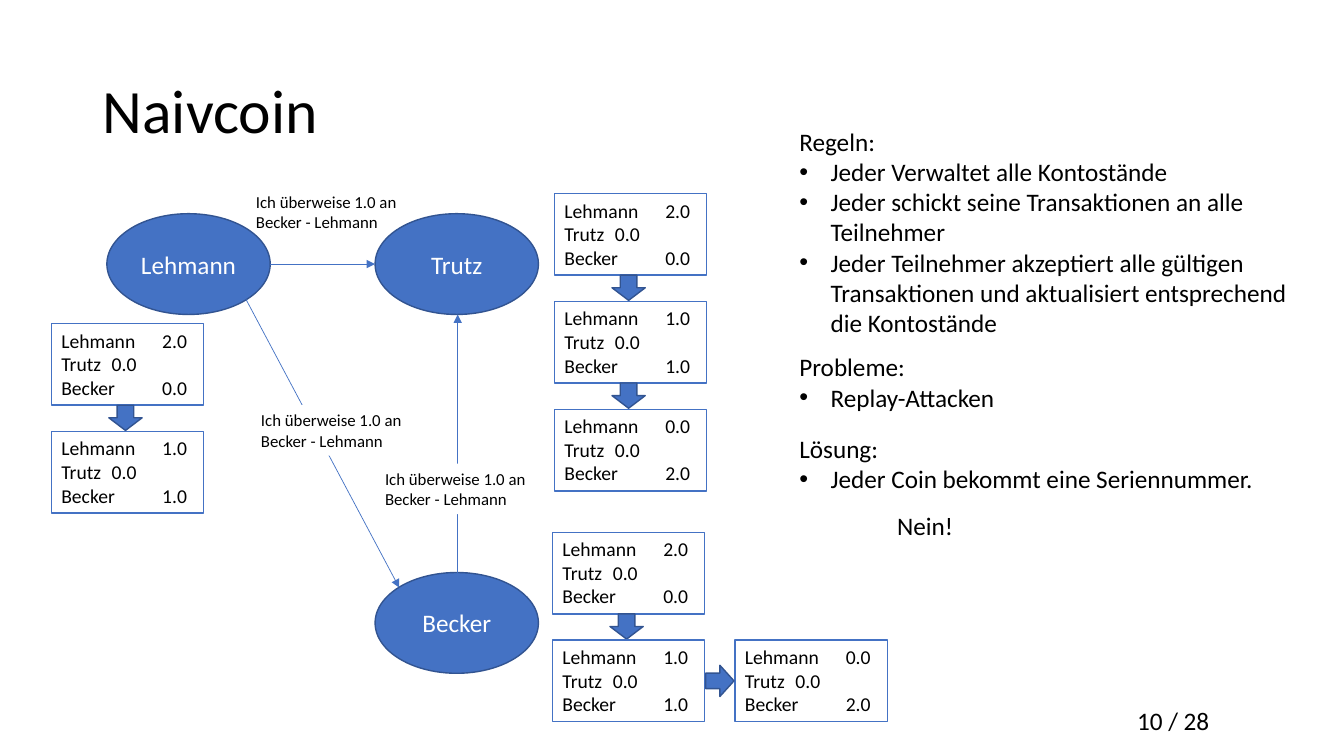
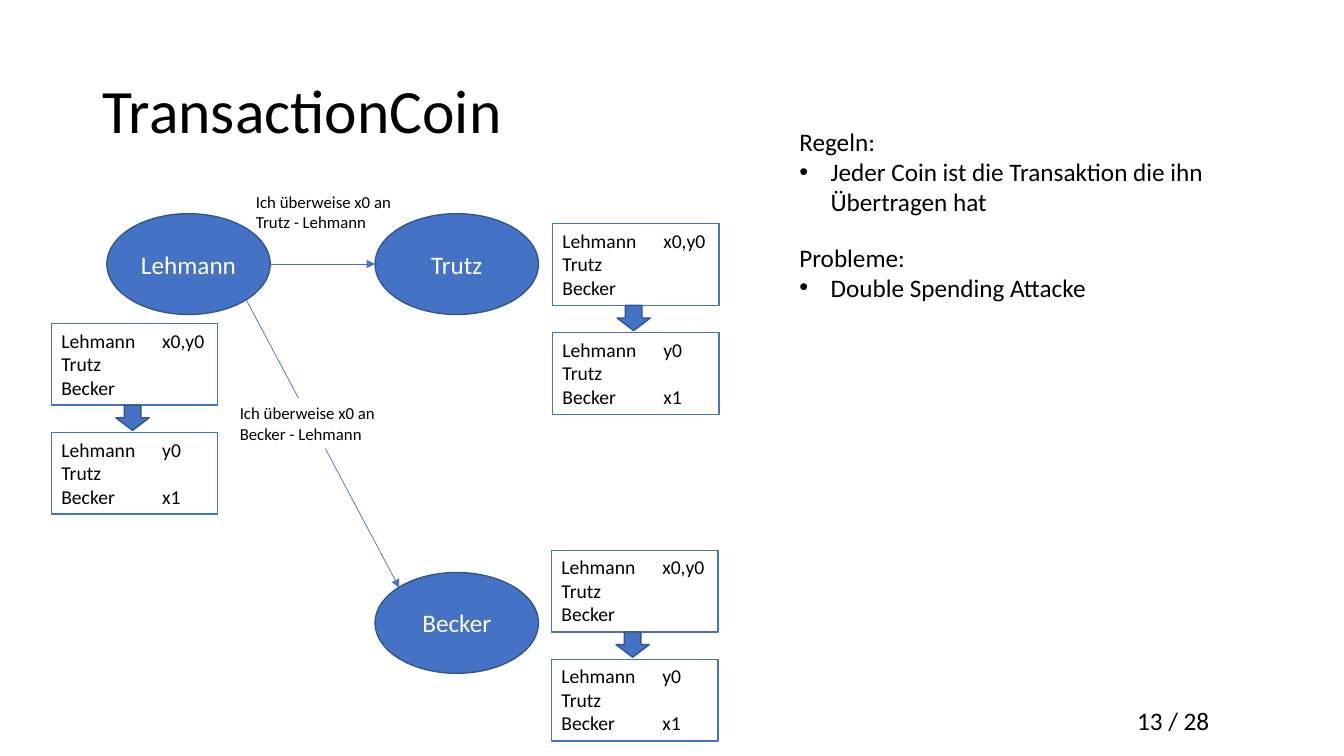
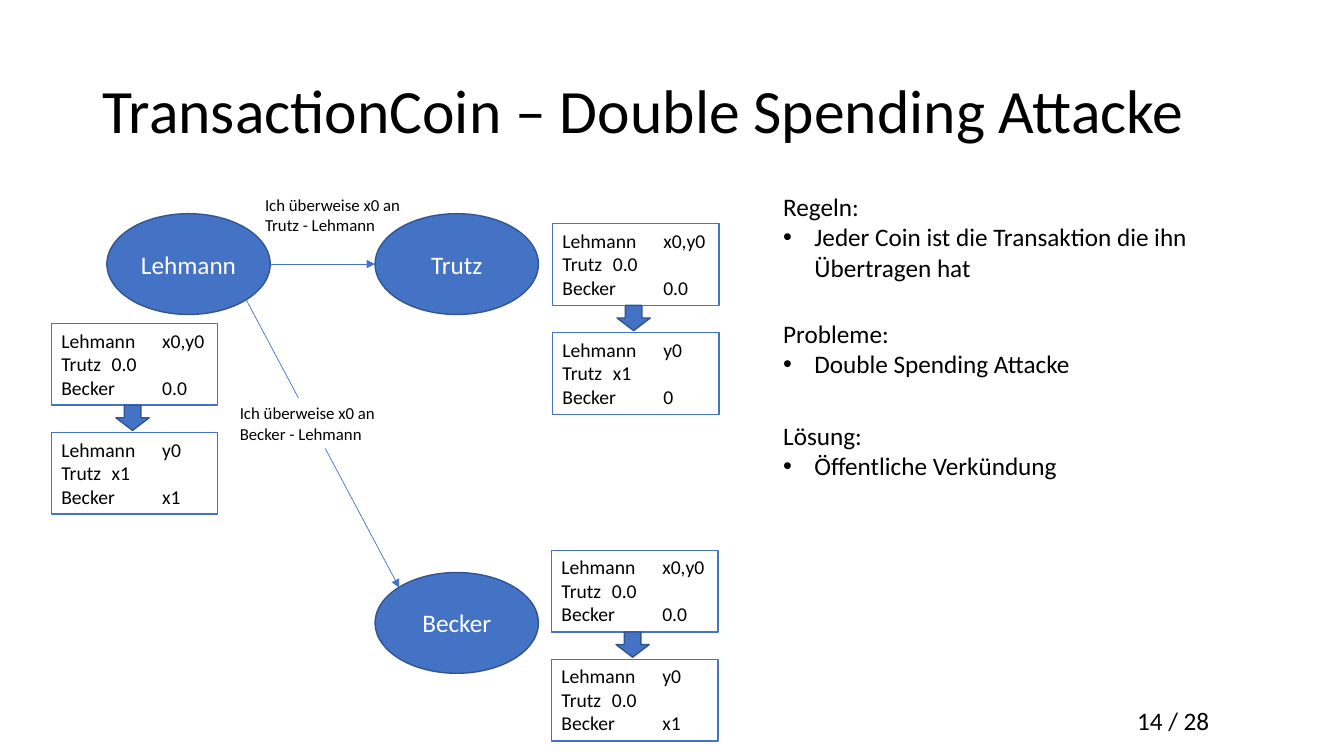
from lxml.etree import SubElement
from pptx import Presentation
from pptx.dml.color import RGBColor
from pptx.enum.shapes import MSO_CONNECTOR, MSO_SHAPE
from pptx.enum.text import MSO_ANCHOR, PP_ALIGN
from pptx.oxml.ns import qn
from pptx.util import Pt

EMU_PER_PX = 9144
FONT = "Calibri"
COLORS = {"blue": "4472C4", "edge": "325491", "paper": "FFFFFF", "ink": "000000"}
NAMES = ("Lehmann", "Trutz", "Becker")
PEERS = {"Lehmann": (106, 212), "Trutz": (372, 212), "Becker": (372, 568)}
PEER_SIZE = (162, 100)
LEDGER_HEIGHT = 81
ARROW_SIZE = (33, 25)
LABEL_SIZE = (162, 50)
RULES_WIDTH = 517
INDENT = 31


def px(value):
    return int(value * EMU_PER_PX)


def color(name):
    return RGBColor.from_string(COLORS[name])


def write(frame, lines, size, ink="ink", align=PP_ALIGN.LEFT, anchor=MSO_ANCHOR.TOP):
    frame.word_wrap = True
    frame.vertical_anchor = anchor
    for index, line in enumerate(lines):
        paragraph = frame.add_paragraph() if index else frame.paragraphs[0]
        paragraph.alignment = align
        run = paragraph.add_run()
        run.text = line
        run.font.name = FONT
        run.font.size = Pt(size)
        run.font.color.rgb = color(ink)
    return frame


def add_text(slide, left, top, width, height, lines, size, **style):
    box = slide.shapes.add_textbox(px(left), px(top), px(width), px(height))
    return write(box.text_frame, lines, size, **style)


def add_block(slide, preset, left, top, width, height, fill="blue", edge="edge"):
    block = slide.shapes.add_shape(preset, px(left), px(top), px(width), px(height))
    block.shadow.inherit = False
    block.fill.solid()
    block.fill.fore_color.rgb = color(fill)
    if edge:
        block.line.color.rgb = color(edge)
        block.line.width = Pt(1)
    else:
        block.line.fill.background()
    return block


def add_peer(slide, name):
    peer = add_block(slide, MSO_SHAPE.OVAL, *PEERS[name], *PEER_SIZE)
    write(peer.text_frame, [name], 18, "paper", PP_ALIGN.CENTER, MSO_ANCHOR.MIDDLE)


def add_transfer(slide, start, end):
    transfer = slide.shapes.add_connector(
        MSO_CONNECTOR.STRAIGHT, *(px(value) for value in start + end))
    transfer.line.color.rgb = color("blue")
    transfer.line.width = Pt(0.5)
    SubElement(transfer.line._get_or_add_ln(), qn("a:tailEnd"), type="triangle")
    SubElement(transfer._element.spPr, qn("a:effectLst"))


def add_masking_label(slide, left, top, message):
    label = add_block(slide, MSO_SHAPE.RECTANGLE, left, top, *LABEL_SIZE, "paper", None)
    write(label.text_frame, [message], 12)


def add_ledger(slide, left, top, width, balances):
    ledger = add_block(slide, MSO_SHAPE.RECTANGLE, left, top, width, LEDGER_HEIGHT,
                       "paper", "blue")
    rows = [f"{name}\t{balance}" if balance else name
            for name, balance in zip(NAMES, balances)]
    write(ledger.text_frame, rows, 14)


def add_history(slide, left, top, width, pitch, states):
    for step, balances in enumerate(states):
        ledger_top = top + step * pitch
        if step:
            add_block(slide, MSO_SHAPE.DOWN_ARROW, left + width // 2 - 18,
                      ledger_top - pitch + LEDGER_HEIGHT, *ARROW_SIZE)
        add_ledger(slide, left, ledger_top, width, balances)


def add_rules(slide, left, top, height, heading, *points):
    frame = add_text(slide, left, top, RULES_WIDTH, height, [heading, *points], 18)
    for paragraph in frame.paragraphs[1:]:
        properties = paragraph._p.get_or_add_pPr()
        properties.set("marL", str(px(INDENT)))
        properties.set("indent", str(-px(INDENT)))
        SubElement(properties, qn("a:buFont"), typeface="Arial")
        SubElement(properties, qn("a:buChar"), char="•")


def add_network_slide(deck, title, page):
    slide = deck.slides.add_slide(deck.slide_layouts[6])
    add_text(slide, 1118, 695, 124, 40, [f"{page} / 28"], 18)
    heading = add_text(slide, 92, 40, 1150, 145, [title], 44, anchor=MSO_ANCHOR.MIDDLE)
    heading.paragraphs[0].line_spacing = 0.9
    for name in NAMES:
        add_peer(slide, name)
    add_transfer(slide, (268, 262), (372, 262))
    add_transfer(slide, (244, 297), (396, 583))
    return slide


def add_naivcoin(deck):
    slide = add_network_slide(deck, "Naivcoin", 10)
    initial, paid, replayed = (
        ("2.0", "0.0", "0.0"), ("1.0", "0.0", "1.0"), ("0.0", "0.0", "2.0"))
    message = "Ich überweise 1.0 an Becker - Lehmann"
    add_transfer(slide, (454, 568), (454, 312))
    add_text(slide, 244, 185, *LABEL_SIZE, [message], 12)
    add_masking_label(slide, 249, 402, message)
    add_masking_label(slide, 372, 460, message)
    add_history(slide, 550, 192, 151, 107, (initial, paid, replayed))
    add_history(slide, 51, 321, 151, 107, (initial, paid))
    add_history(slide, 548, 528, 151, 107, (initial, paid))
    add_ledger(slide, 729, 635, 151, replayed)
    add_block(slide, MSO_SHAPE.RIGHT_ARROW, 700, 660, 28, 31)
    add_rules(slide, 783, 120, 222, "Regeln:",
              "Jeder Verwaltet alle Kontostände",
              "Jeder schickt seine Transaktionen an alle Teilnehmer",
              "Jeder Teilnehmer akzeptiert alle gültigen Transaktionen "
              "und aktualisiert entsprechend die Kontostände")
    add_rules(slide, 783, 344, 71, "Probleme:", "Replay-Attacken")
    add_rules(slide, 783, 425, 71, "Lösung:", "Jeder Coin bekommt eine Seriennummer.")
    add_text(slide, 880, 501, 76, 40, ["Nein!"], 18).word_wrap = False


def add_transaction_coin(deck, title, page, label_at, initial, outcomes, rules_at,
                         problem_top):
    slide = add_network_slide(deck, title, page)
    add_text(slide, *label_at, *LABEL_SIZE, ["Ich überweise x0 an Trutz - Lehmann"], 12)
    add_masking_label(slide, 228, 395, "Ich überweise x0 an Becker - Lehmann")
    for place, outcome in zip(((51, 321), (548, 222), (547, 546)), outcomes):
        add_history(slide, *place, 165, 108, (initial, outcome))
    rules_left, rules_top = rules_at
    add_rules(slide, rules_left, rules_top, 101, "Regeln:",
              "Jeder Coin ist die Transaktion die ihn Übertragen hat")
    add_rules(slide, rules_left, problem_top, 71, "Probleme:", "Double Spending Attacke")
    return slide


def main():
    deck = Presentation()
    deck.slide_width, deck.slide_height = px(1333), px(750)
    add_naivcoin(deck)
    add_transaction_coin(
        deck, "TransactionCoin", 13, (244, 185), ("x0,y0", "", ""),
        [("y0", "", "x1")] * 3, (783, 120), 235)
    attack = add_transaction_coin(
        deck, "TransactionCoin – Double Spending Attacke", 14, (253, 188),
        ("x0,y0", "0.0", "0.0"),
        [("y0", "x1", "x1"), ("y0", "x1", "0"), ("y0", "0.0", "x1")], (767, 185), 311)
    add_rules(attack, 767, 412, 71, "Lösung:", "Öffentliche Verkündung")
    deck.save("out.pptx")


if __name__ == "__main__":
    main()
